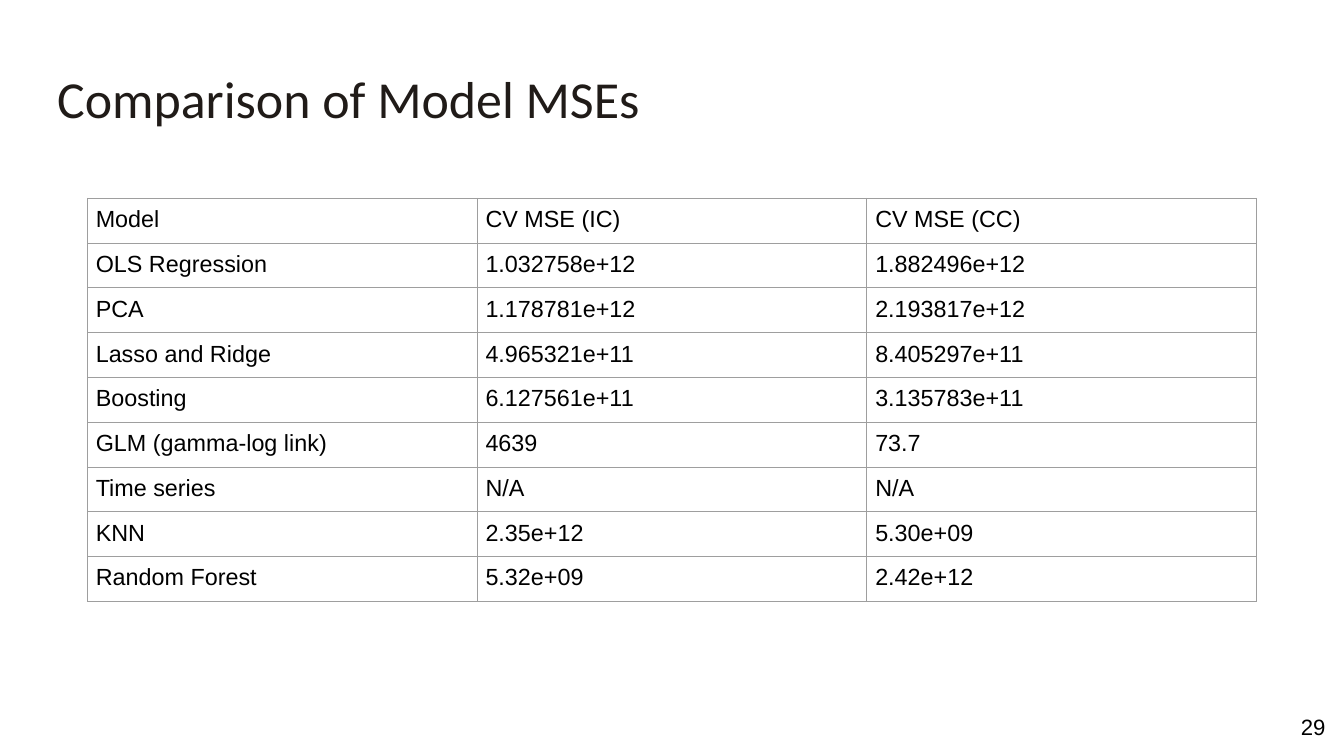
from dataclasses import dataclass

from lxml.etree import SubElement
from pptx import Presentation
from pptx.dml.color import RGBColor
from pptx.enum.text import MSO_ANCHOR as Anchor, MSO_AUTO_SIZE as AutoSize, PP_ALIGN as Align
from pptx.oxml.ns import qn
from pptx.util import Inches, Pt


@dataclass(frozen=True)
class Theme:
    heading_font: str = "Calibri"
    body_font: str = "Arial"
    heading_color: str = "201B18"
    body_color: str = "000000"
    rule_color: str = "9E9E9E"
    background: str = "FFFFFF"
    heading_size: float = 44.5
    body_size: float = 20
    page_size: float = 19
    rule_width: float = 0.75


MSE_ROWS = [
    ("Model", "CV MSE (IC)", "CV MSE (CC)"),
    ("OLS Regression", "1.032758e+12", "1.882496e+12"),
    ("PCA", "1.178781e+12", "2.193817e+12"),
    ("Lasso and Ridge", "4.965321e+11", "8.405297e+11"),
    ("Boosting", "6.127561e+11", "3.135783e+11"),
    ("GLM (gamma-log link)", "4639", "73.7"),
    ("Time series", "N/A", "N/A"),
    ("KNN", "2.35e+12", "5.30e+09"),
    ("Random Forest", "5.32e+09", "2.42e+12"),
]


def write(frame, text, *, font, size, color, align=Align.LEFT, spacing=None):
    paragraph = frame.paragraphs[0]
    paragraph.alignment = align
    if spacing:
        paragraph.line_spacing = spacing
    run = paragraph.add_run()
    run.text = text
    run.font.name = font
    run.font.size = Pt(size)
    run.font.color.rgb = RGBColor.from_string(color)


def set_insets(holder, inset):
    holder.margin_left = holder.margin_right = Inches(inset)
    holder.margin_top = holder.margin_bottom = Inches(inset)


class SlideBuilder:
    def __init__(self, slide, theme):
        self.slide = slide
        self.theme = theme
        backdrop = slide.background.fill
        backdrop.solid()
        backdrop.fore_color.rgb = RGBColor.from_string(theme.background)

    def heading(self, text, left, top, width, height):
        heading = self.slide.shapes.title
        heading.left, heading.top = Inches(left), Inches(top)
        heading.width, heading.height = Inches(width), Inches(height)
        frame = heading.text_frame
        set_insets(frame, 0)
        frame.vertical_anchor = Anchor.TOP
        frame.auto_size = AutoSize.NONE
        frame.word_wrap = True
        write(frame, text, font=self.theme.heading_font, size=self.theme.heading_size,
              color=self.theme.heading_color, spacing=1.25)

    def grid(self, rows, left, top, width, height):
        table = self.slide.shapes.add_table(
            len(rows), len(rows[0]), Inches(left), Inches(top), Inches(width), Inches(height)
        ).table
        table.first_row = table.horz_banding = False
        for row, values in enumerate(rows):
            for column, value in enumerate(values):
                cell = table.cell(row, column)
                set_insets(cell, 0.1)
                write(cell.text_frame, value, font=self.theme.body_font,
                      size=self.theme.body_size, color=self.theme.body_color)
                self.rule(cell)
                cell.fill.background()

    def rule(self, cell):
        properties = cell._tc.get_or_add_tcPr()
        for side in ("a:lnL", "a:lnR", "a:lnT", "a:lnB"):
            edge = SubElement(properties, qn(side), w=str(Pt(self.theme.rule_width)))
            fill = SubElement(edge, qn("a:solidFill"))
            SubElement(fill, qn("a:srgbClr"), val=self.theme.rule_color)

    def page_number(self, text, left, top, width, height):
        frame = self.slide.shapes.add_textbox(
            Inches(left), Inches(top), Inches(width), Inches(height)
        ).text_frame
        set_insets(frame, 0.15)
        frame.word_wrap = True
        frame.vertical_anchor = Anchor.MIDDLE
        write(frame, text, font=self.theme.body_font, size=self.theme.page_size,
              color=self.theme.body_color, align=Align.RIGHT)


def main():
    deck = Presentation()
    deck.slide_width, deck.slide_height = Inches(16), Inches(9)
    builder = SlideBuilder(deck.slides.add_slide(deck.slide_layouts[5]), Theme())
    builder.heading("Comparison of Model MSEs", 0.68, 0.61, 10.99, 0.78)
    builder.grid(MSE_ROWS, 1.04, 2.36, 13.92, 4.8)
    builder.page_number("29", 14.97, 8.31, 0.96, 0.69)
    deck.save("out.pptx")


if __name__ == "__main__":
    main()
